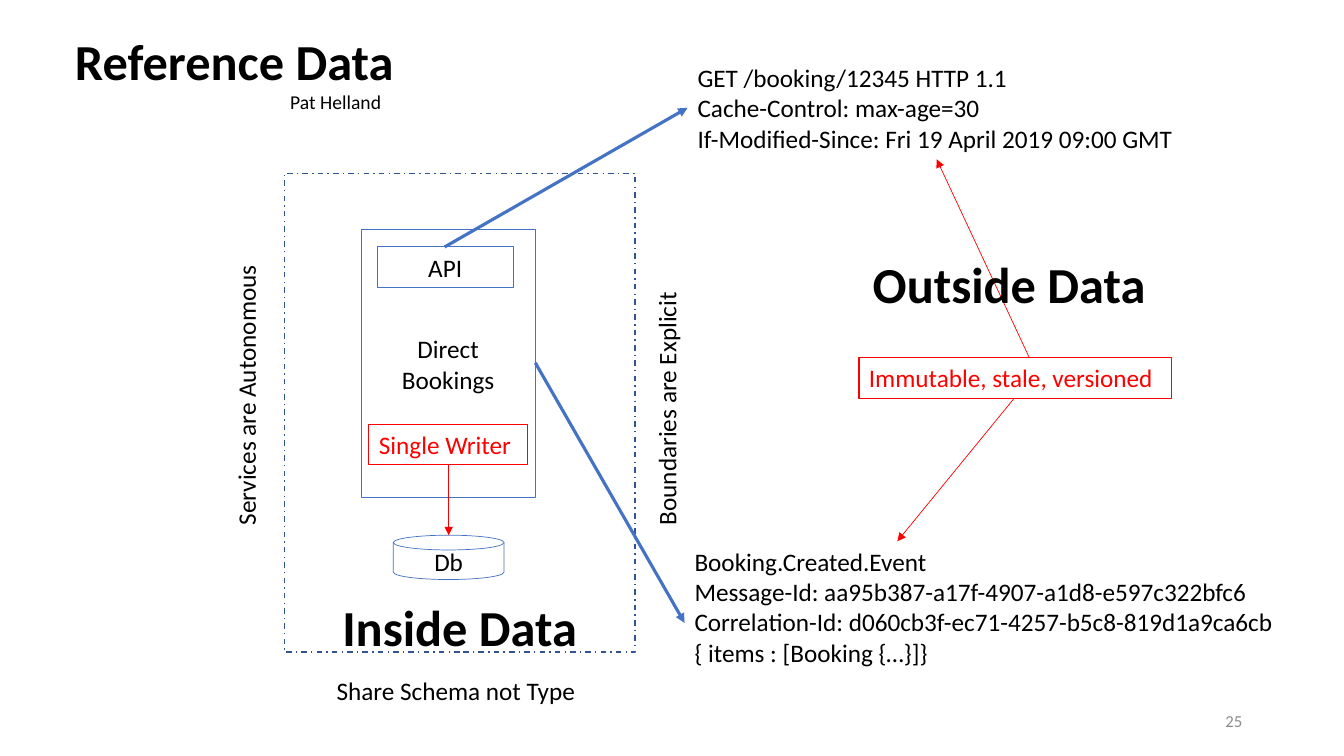
from dataclasses import dataclass

from lxml import etree
from pptx import Presentation
from pptx.dml.color import RGBColor
from pptx.enum.dml import MSO_LINE
from pptx.enum.shapes import MSO_CONNECTOR, MSO_SHAPE
from pptx.enum.text import MSO_ANCHOR, PP_ALIGN
from pptx.oxml.ns import qn
from pptx.util import Inches, Pt

RECT = MSO_SHAPE.RECTANGLE
DISK = MSO_SHAPE.FLOWCHART_MAGNETIC_DISK
STRAIGHT = MSO_CONNECTOR.STRAIGHT
DASH = MSO_LINE.DASH_DOT
LEFT, MID, RIGHT = PP_ALIGN.LEFT, PP_ALIGN.CENTER, PP_ALIGN.RIGHT
TOP, CENTER = MSO_ANCHOR.TOP, MSO_ANCHOR.MIDDLE


@dataclass(frozen=True)
class Theme:
    font: str = "Calibri"
    ink: str = "000000"
    blue: str = "4472C4"
    navy: str = "325491"
    red: str = "FF0000"
    gray: str = "8C8C8C"
    head: int = 36
    body: int = 18
    note: int = 14
    page: int = 12
    hair: float = 0.5
    thin: float = 0.75
    edge: float = 1
    bold: float = 2.25


class Board:
    def __init__(self, slide, theme):
        self.shapes = slide.shapes
        self.theme = theme

    def label(self, shape, words, size, color, align, anchor, bold=False):
        frame = shape.text_frame
        frame.word_wrap = True
        frame.vertical_anchor = anchor
        frame.text = words
        for para in frame.paragraphs:
            para.alignment = align
            para.font.name = self.theme.font
            para.font.size = Pt(size)
            para.font.bold = bold
            para.font.color.rgb = RGBColor.from_string(color)

    def stroke(self, line, color, width):
        line.color.rgb = RGBColor.from_string(color)
        line.width = Pt(width)

    def box(self, place, color, width, words="", ink=None, align=MID,
            anchor=TOP, kind=RECT, dash=None):
        shape = self.shapes.add_shape(kind, *map(Inches, place))
        shape.shadow.inherit = False
        shape.fill.background()
        self.stroke(shape.line, color, width)
        if dash:
            shape.line.dash_style = dash
        if words:
            self.label(shape, words, self.theme.body, ink or self.theme.ink,
                       align, anchor)

    def text(self, place, words, size=None, color=None, align=LEFT,
             anchor=TOP, bold=False, turn=0):
        shape = self.shapes.add_textbox(*map(Inches, place))
        shape.rotation = turn
        self.label(shape, words, size or self.theme.body,
                   color or self.theme.ink, align, anchor, bold)

    def title(self, place, words):
        self.text(place, words, self.theme.head, align=MID, bold=True)

    def arrow(self, start, end, color, width):
        link = self.shapes.add_connector(STRAIGHT, *map(Inches, start + end))
        self.stroke(link.line, color, width)
        props = link._element.spPr
        etree.SubElement(props.find(qn("a:ln")), qn("a:tailEnd"),
                         type="triangle")
        etree.SubElement(props, qn("a:effectLst"))


def main():
    deck = Presentation()
    deck.slide_width, deck.slide_height = Inches(13.33), Inches(7.5)
    theme = Theme()
    board = Board(deck.slides.add_slide(deck.slide_layouts[6]), theme)
    blue, red = theme.blue, theme.red

    board.box((3.58, 2.28, 1.73, 2.66), blue, theme.hair,
              "Direct\nBookings", anchor=CENTER)
    board.box((3.74, 2.45, 1.35, 0.4), blue, theme.thin, "API")
    board.box((3.9, 5.31, 1.1, 0.44), blue, theme.hair, "Db",
              anchor=CENTER, kind=DISK)
    board.box((2.82, 1.72, 3.48, 4.75), theme.navy, theme.edge, dash=DASH)

    board.text((5.29, 3.79, 2.64, 0.4), "Boundaries are Explicit", turn=270)
    board.text((1.01, 3.68, 2.86, 0.4), "Services are Autonomous", turn=270)
    board.text((3.24, 6.65, 2.64, 0.4), "Share Schema not Type")

    board.arrow((4.41, 2.45), (6.82, 1.07), blue, theme.bold)
    board.text((6.82, 0.57, 4.95, 1.01),
               "GET /booking/12345 HTTP 1.1\n"
               "Cache-Control: max-age=30\n"
               "If-Modified-Since: Fri 19 April 2019 09:00 GMT")
    board.text((6.79, 5.37, 6.54, 1.62),
               "Booking.Created.Event\n"
               "Message-Id: aa95b387-a17f-4907-a1d8-e597c322bfc6\n"
               "Correlation-Id: d060cb3f-ec71-4257-b5c8-819d1a9ca6cb\n"
               "{ items : [Booking {…}]}")
    board.arrow((5.31, 3.6), (6.79, 6.18), blue, theme.bold)

    for place, words in (
        ((3.66, 4.21, 1.57, 0.4), "Single Writer"),
        ((8.52, 3.55, 3.1, 0.4), "Immutable, stale, versioned"),
    ):
        board.box(place, red, theme.thin, words, red, LEFT)
    for start, end in (
        ((4.45, 4.61), (4.45, 5.31)),
        ((10.06, 3.95), (8.9, 5.37)),
        ((10.21, 3.55), (9.29, 1.58)),
    ):
        board.arrow(start, end, red, theme.hair)

    board.title((3.09, 5.86, 2.94, 0.71), "Inside Data")
    board.title((8.54, 2.46, 2.94, 0.71), "Outside Data")
    board.title((0.44, 0.25, 3.77, 0.71), "Reference Data")
    board.text((2.32, 0.84, 1.56, 0.34), "Pat Helland", theme.note,
               align=RIGHT)
    board.text((9.42, 6.95, 3, 0.4), "25", theme.page, theme.gray,
               RIGHT, CENTER)
    deck.save("out.pptx")


if __name__ == "__main__":
    main()
